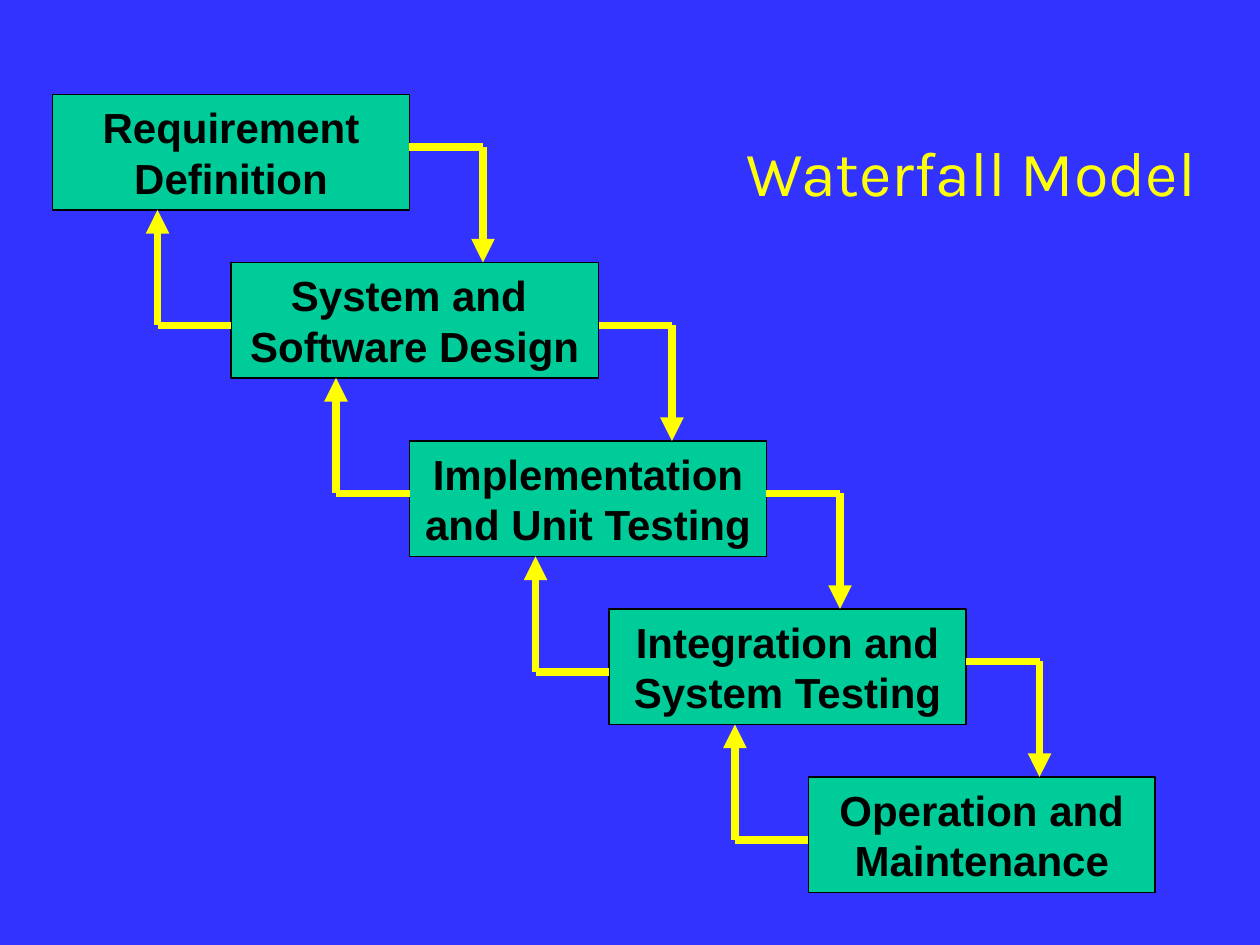
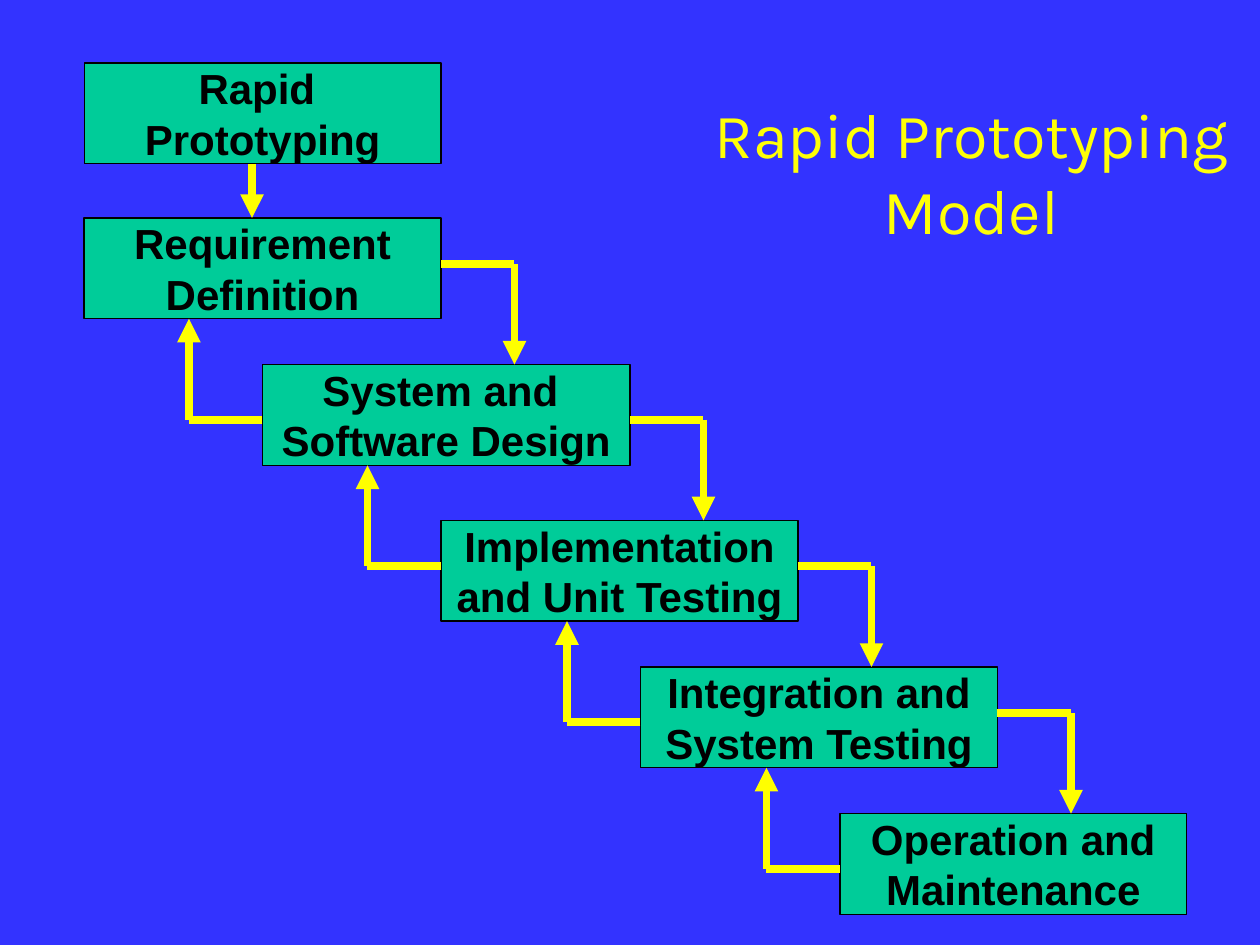
from dataclasses import dataclass

from pptx import Presentation, util as u
from pptx.dml.color import RGBColor
from pptx.enum import shapes, text
from pptx.oxml.ns import qn
from lxml import etree


# Theme: colours, fonts and sizes
@dataclass(frozen=True)
class Theme:
    back: RGBColor = RGBColor(0x33, 0x33, 0xFF)
    box: RGBColor = RGBColor(0x00, 0xCC, 0x99)
    ink: RGBColor = RGBColor(0x00, 0x00, 0x00)
    arrow: RGBColor = RGBColor(0xFF, 0xFF, 0x00)
    title: RGBColor = RGBColor(0xFF, 0xFF, 0x07)
    title_font: str = "Karla"
    title_size: int = 36
    box_font: str = "Arial"
    box_size: int = 24
    border: float = 0.75
    arrow_width: float = 4.5


# Staircase of phases in grid units: label lines, left, top, width
PHASES = [
    (("Requirement", "Definition"), 5, 9, 34),
    (("System and ", "Software Design"), 22, 25, 35),
    (("Implementation", "and Unit Testing"), 39, 42, 34),
    (("Integration and", "System Testing"), 58, 58, 34),
    (("Operation and", "Maintenance"), 77, 74, 33),
]
UNIT = 1 / 12      # one grid unit in inches
BOX_UNITS = 11     # box height, and the length of every vertical arrow
RUN_UNITS = 7      # length of every horizontal arrow part


class Diagram:
    """Holds the style and the current slide."""

    def __init__(self, deck, theme):
        self.deck, self.theme = deck, theme
        self.page = None
        fill = deck.slide_master.background.fill
        fill.solid()
        fill.fore_color.rgb = theme.back

    def new_page(self, title):
        self.page = self.deck.slides.add_slide(self.deck.slide_layouts[6])
        box = self.page.shapes.add_textbox(
            u.Inches(5.42), u.Inches(0.92), u.Inches(4.58), u.Inches(0.88))
        self.set_lines(box, [title], True, self.theme.title, {
            "name": self.theme.title_font, "size": u.Pt(self.theme.title_size)})

    def set_lines(self, box, lines, wrap, color, font_format):
        frame = box.text_frame
        frame.word_wrap = wrap
        frame.vertical_anchor = text.MSO_ANCHOR.MIDDLE
        for number, line in enumerate(lines):
            para = frame.paragraphs[0] if number == 0 else frame.add_paragraph()
            para.alignment = text.PP_ALIGN.CENTER
            span = para.add_run()
            span.text = line
            for key, value in font_format.items():
                setattr(span.font, key, value)
            span.font.color.rgb = color

    def phase_box(self, lines, left, top, width, height):
        box = self.page.shapes.add_shape(
            shapes.MSO_SHAPE.RECTANGLE, u.Inches(left), u.Inches(top),
            u.Inches(width), u.Inches(height))
        box.shadow.inherit = False
        box.fill.solid()
        box.fill.fore_color.rgb = self.theme.box
        box.line.color.rgb = self.theme.ink
        box.line.width = u.Pt(self.theme.border)
        self.set_lines(box, lines, False, self.theme.ink, {
            "name": self.theme.box_font, "size": u.Pt(self.theme.box_size),
            "bold": True})

    def line(self, start, end, arrow=False):
        link = self.page.shapes.add_connector(
            shapes.MSO_CONNECTOR.STRAIGHT,
            *(u.Inches(value) for value in (*start, *end)))
        link.line.color.rgb = self.theme.arrow
        link.line.width = u.Pt(self.theme.arrow_width)
        properties = link._element.spPr
        if arrow:
            etree.SubElement(properties.find(qn("a:ln")), qn("a:tailEnd"),
                             type="triangle")
        etree.SubElement(properties, qn("a:effectLst"))

    def elbow(self, start, corner, end):
        self.line(start, corner)
        self.line(corner, end, arrow=True)

    def staircase(self, shift, first_top, box_height):
        """Draw the phases, moved right by shift and scaled to box_height."""
        run = RUN_UNITS * UNIT
        scale = box_height / BOX_UNITS
        origin = PHASES[0][2]
        steps = [(lines, left * UNIT + shift,
                  first_top + (top - origin) * scale, width * UNIT)
                 for lines, left, top, width in PHASES]
        for step in steps:
            self.phase_box(*step, box_height)

        pairs = list(zip(steps, steps[1:]))
        # Forward arrows, down to the next phase
        for (_, left, _, width), (_, _, next_top, _) in pairs:
            right, level = left + width, next_top - box_height
            self.elbow((right, level), (right + run, level),
                       (right + run, next_top))
        # Feedback arrows, up to the phase before
        for (_, _, top, _), (_, next_left, _, _) in pairs:
            bottom = top + box_height
            level = bottom + box_height
            self.elbow((next_left, level), (next_left - run, level),
                       (next_left - run, bottom))


def main():
    deck = Presentation()
    deck.slide_width, deck.slide_height = u.Inches(10), u.Inches(7.5)
    diagram = Diagram(deck, Theme())

    # Slide 1: waterfall
    diagram.new_page("Waterfall Model")
    diagram.staircase(shift=0, first_top=0.75, box_height=BOX_UNITS * UNIT)

    # Slide 2: the same staircase after a prototyping phase
    diagram.new_page("Rapid Prototyping Model")
    diagram.staircase(shift=0.25, first_top=1.73, box_height=0.8)
    diagram.phase_box(("Rapid ", "Prototyping"), 0.67, 0.5, 2.83, 0.8)
    diagram.line((2, 1.3), (2, 1.73), arrow=True)

    deck.save("out.pptx")


if __name__ == "__main__":
    main()
